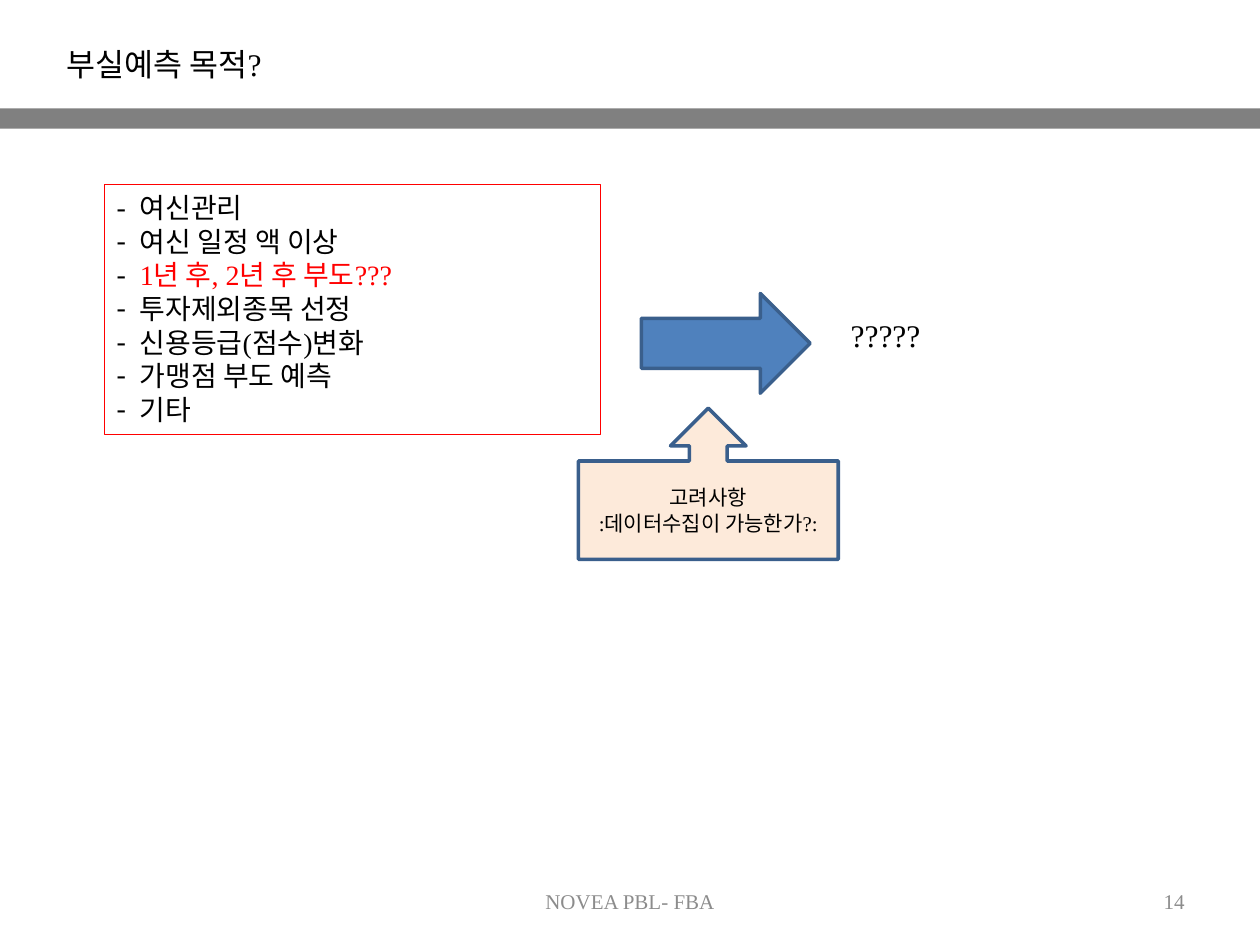
from lxml.etree import SubElement
from pptx import Presentation
from pptx.dml.color import RGBColor
from pptx.enum.shapes import MSO_SHAPE as Shape
from pptx.enum.text import MSO_ANCHOR as Anchor, PP_ALIGN as Align
from pptx.oxml.ns import qn
from pptx.util import Pt

COLORS = {
    "text": "000000", "accent": "FF0000", "band": "808080", "arrow": "4F81BD",
    "outline": "3A5F8C", "callout": "FDEADA", "footer": "8C8C8C",
}
FONT = "Times New Roman"
PURPOSES = [
    ("여신관리", "text"),
    ("여신 일정 액 이상", "text"),
    ("1년 후, 2년 후 부도???", "accent"),
    ("투자제외종목 선정", "text"),
    ("신용등급(점수)변화", "text"),
    ("가맹점 부도 예측", "text"),
    ("기타", "text"),
]


def color(name):
    return RGBColor.from_string(COLORS[name])


def add_block(slide, kind, box, fill=None, line=None, width=2):
    block = slide.shapes.add_shape(kind, *map(Pt, box))
    block.shadow.inherit = False
    if fill:
        block.fill.solid()
        block.fill.fore_color.rgb = color(fill)
    else:
        block.fill.background()
    if line:
        block.line.color.rgb = color(line)
        block.line.width = Pt(width)
    else:
        block.line.fill.background()
    return block


def add_bullet(paragraph, indent=13.3):
    properties = paragraph._p.get_or_add_pPr()
    properties.set("marL", str(Pt(indent)))
    properties.set("indent", str(-Pt(indent)))
    bullet_color = SubElement(properties, qn("a:buClr"))
    SubElement(bullet_color, qn("a:srgbClr"), val=COLORS["text"])
    SubElement(properties, qn("a:buFont"), typeface=FONT)
    SubElement(properties, qn("a:buChar"), char="-")


def write(shape, lines, size, align=Align.LEFT, anchor=Anchor.TOP, bullets=False):
    frame = shape.text_frame
    frame.word_wrap = True
    frame.vertical_anchor = anchor
    for index, (words, tone) in enumerate(lines):
        paragraph = frame.paragraphs[0] if index == 0 else frame.add_paragraph()
        paragraph.text = words
        paragraph.alignment = align
        if bullets:
            add_bullet(paragraph)
        paragraph.font.size = Pt(size)
        paragraph.font.name = FONT
        paragraph.font.color.rgb = color(tone)


def add_label(slide, box, words, size=18, tone="text", **style):
    write(slide.shapes.add_textbox(*map(Pt, box)), [(words, tone)], size, **style)


def add_header(slide, left, top, width):
    add_block(slide, Shape.RECTANGLE, (left, top + 62, width, 11.5), "band")
    add_label(slide, (left + 31, top + 22.3, 232.5, 29), "부실예측 목적?")


def add_purposes(slide, box):
    purposes = add_block(slide, Shape.RECTANGLE, box, line="accent", width=0.75)
    write(purposes, PURPOSES, 16, bullets=True)


def add_outcome(slide, left, top):
    add_block(slide, Shape.RIGHT_ARROW, (left + 36, top, 96.5, 57), "arrow", "outline")
    add_label(slide, (left + 148.5, top + 9.5, 130, 29), "?????")
    consideration = add_block(slide, Shape.UP_ARROW_CALLOUT,
                              (left, top + 65.5, 148.5, 86.4), "callout", "outline")
    write(consideration, [("고려사항", "text"), (":데이터수집이 가능한가?:", "text")],
          12, Align.CENTER, Anchor.MIDDLE)


def add_footer(slide, top, height):
    style = {"size": 12, "tone": "footer", "anchor": Anchor.MIDDLE}
    add_label(slide, (246, top, 228, height), "NOVEA PBL- FBA", align=Align.CENTER, **style)
    add_label(slide, (516, top, 168, height), "14", align=Align.RIGHT, **style)


def main():
    deck = Presentation()
    deck.slide_width, deck.slide_height = Pt(720), Pt(540)
    slide = deck.slides.add_slide(deck.slide_layouts[6])
    add_header(slide, 0, 0, 720)
    add_purposes(slide, (59.6, 105.5, 283.7, 143))
    add_outcome(slide, 330.5, 167.7)
    add_footer(slide, 500.5, 28.75)
    deck.save("out.pptx")


if __name__ == "__main__":
    main()
